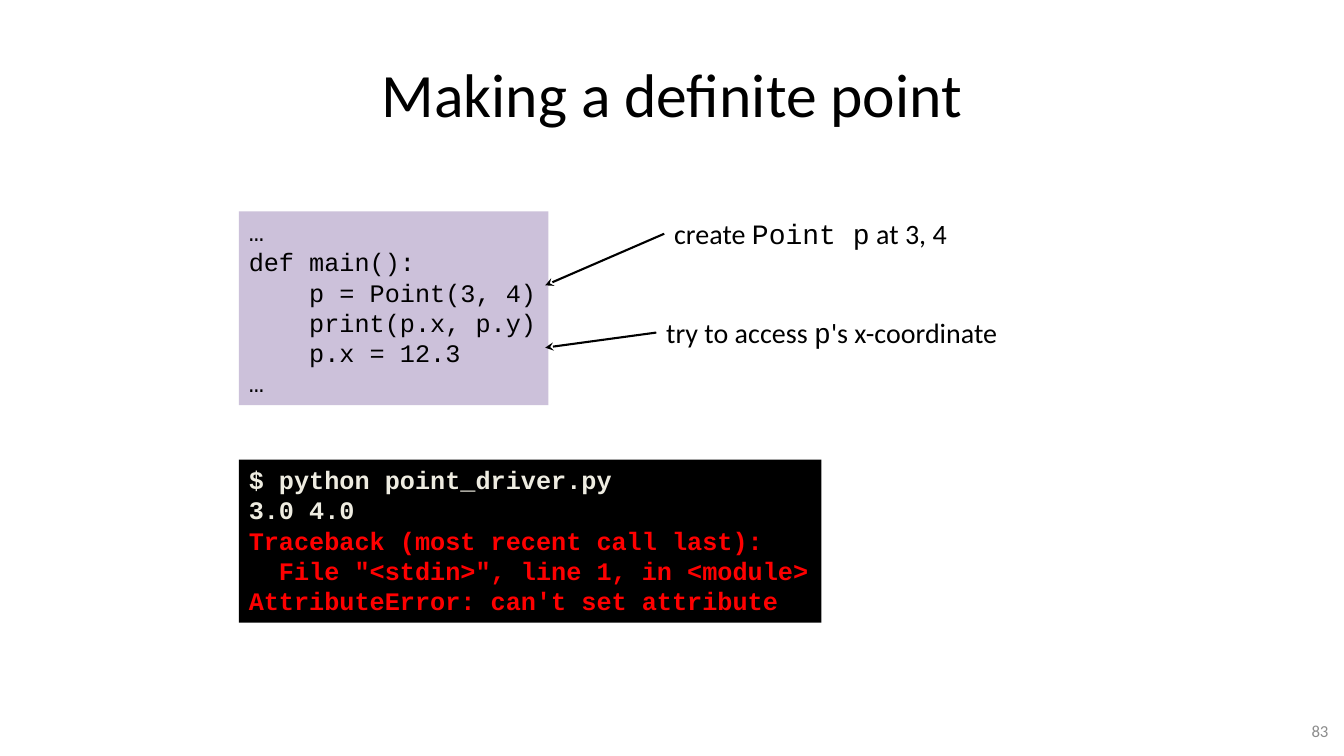
from lxml.etree import SubElement
from pptx import Presentation
from pptx.dml.color import RGBColor
from pptx.enum.shapes import MSO_CONNECTOR, MSO_SHAPE
from pptx.enum.text import MSO_ANCHOR, PP_ALIGN
from pptx.oxml.ns import qn
from pptx.util import Cm, Pt

SANS, MONO = "Calibri", "Courier New"
BLACK, CREAM, RED, LILAC, GREY = "000000", "EEECE1", "FF0000", "CCC1DA", "8C8C8C"
LEFT = 6.02


def rgb(value):
    """Turn a hex string into a colour."""
    return RGBColor.from_string(value)


def add_run(p, text, size, font=SANS, color=BLACK, bold=False):
    """Add one formatted run to a paragraph."""
    r = p.add_run()
    r.text = text
    r.font.size = Pt(size)
    r.font.name = font
    r.font.bold = bold
    r.font.color.rgb = rgb(color)


def add_label(s, box, runs, size, color=BLACK, align=PP_ALIGN.LEFT,
              anchor=MSO_ANCHOR.TOP, wrap=True):
    """Add a one-line text box made of (text, font) runs."""
    sp = s.shapes.add_textbox(*map(Cm, box))
    tf = sp.text_frame
    tf.word_wrap = wrap
    tf.vertical_anchor = anchor
    p = tf.paragraphs[0]
    p.alignment = align
    for text, font in runs:
        add_run(p, text, size, font, color)
    return sp


def add_code(s, box, fill, lines, bold=False):
    """Add a filled code panel with one (text, colour) paragraph per line."""
    sp = s.shapes.add_shape(MSO_SHAPE.RECTANGLE, *map(Cm, box))
    sp.shadow.inherit = False
    sp.fill.solid()
    sp.fill.fore_color.rgb = rgb(fill)
    sp.line.fill.background()
    tf = sp.text_frame
    tf.word_wrap = False
    tf.vertical_anchor = MSO_ANCHOR.TOP
    for i, (text, color) in enumerate(lines):
        p = tf.add_paragraph() if i else tf.paragraphs[0]
        p.alignment = PP_ALIGN.LEFT
        add_run(p, text, 18, MONO, color, bold)


def add_callout(s, box, runs, tip):
    """Add a note with an arrow from its left side to a tip."""
    note = add_label(s, box, runs, 20, wrap=False)
    x, y = map(Cm, tip)
    arrow = s.shapes.add_connector(MSO_CONNECTOR.STRAIGHT, note.left, note.top, x, y)
    arrow.begin_connect(note, 1)
    arrow.line.color.rgb = rgb(BLACK)
    arrow.line.width = Pt(1.5)
    SubElement(arrow.line._get_or_add_ln(), qn("a:tailEnd"), type="stealth")
    SubElement(arrow._element.spPr, qn("a:effectLst"))


def main():
    """Build and save the slide."""
    prs = Presentation()
    prs.slide_width, prs.slide_height = Cm(33.87), Cm(19.05)
    s = prs.slides.add_slide(prs.slide_layouts[6])

    add_label(s, (1.7, 0.76, 30.48, 3.18), [("Making a definite point", SANS)], 44,
              align=PP_ALIGN.CENTER, anchor=MSO_ANCHOR.MIDDLE)

    source = ["…", "def main():", "    p = Point(3, 4)", "    print(p.x, p.y)",
              "    p.x = 12.3", "…"]
    add_code(s, (LEFT, 5.33, 7.8, 4.88), LILAC, [(line, BLACK) for line in source])

    add_callout(s, (16.74, 5.33, 7.65, 1.12),
                [("create ", SANS), ("Point p", MONO), (" at 3, 4", SANS)],
                (13.74, 7.19))
    add_callout(s, (16.54, 7.82, 8.94, 1.12),
                [("try to access ", SANS), ("p", MONO), ("'s x-coordinate", SANS)],
                (13.74, 8.76))

    add_code(s, (LEFT, 11.58, 14.68, 4.11), BLACK, [
        ("$ python point_driver.py", CREAM),
        ("3.0 4.0", CREAM),
        ("Traceback (most recent call last):", RED),
        ('  File "<stdin>", line 1, in <module>', RED),
        ("AttributeError: can't set attribute", RED),
    ], bold=True)

    add_label(s, (25.83, 17.91, 7.9, 1.02), [("83", SANS)], 12, GREY,
              PP_ALIGN.RIGHT, MSO_ANCHOR.MIDDLE)
    prs.save("out.pptx")


if __name__ == "__main__":
    main()
